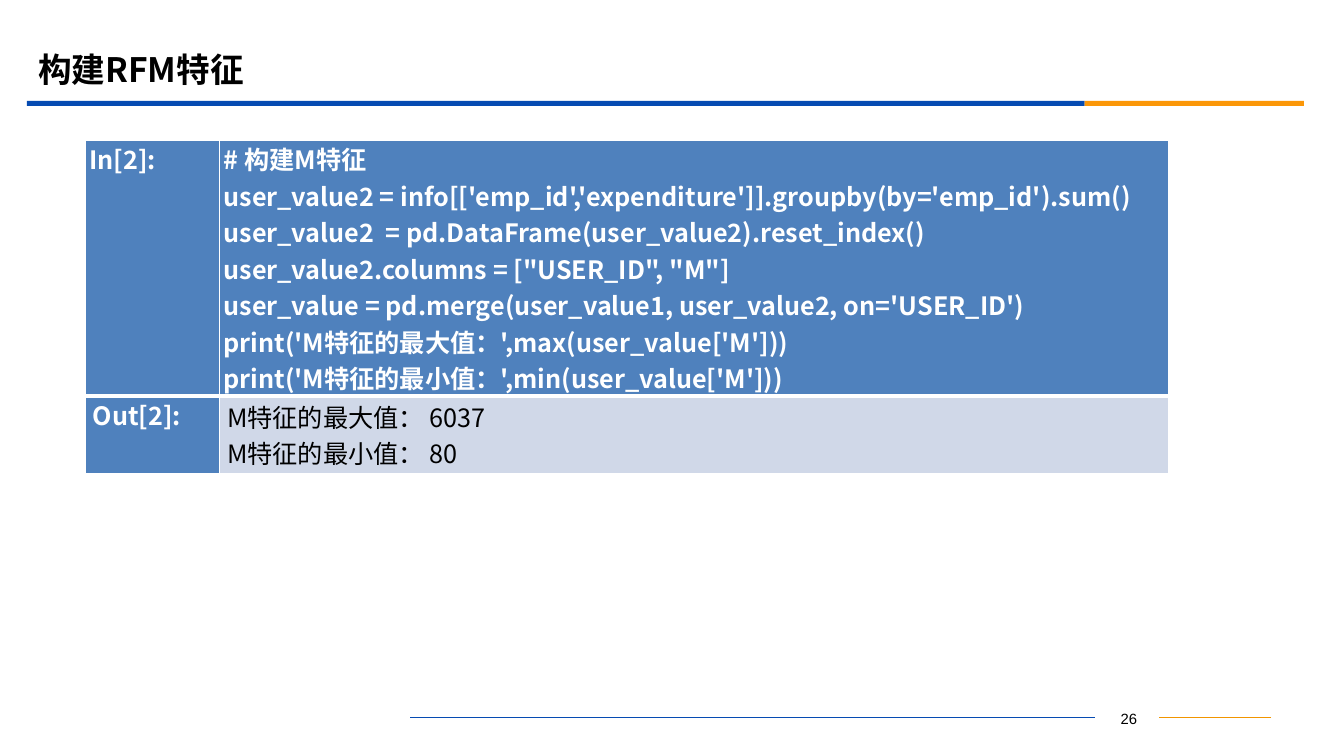
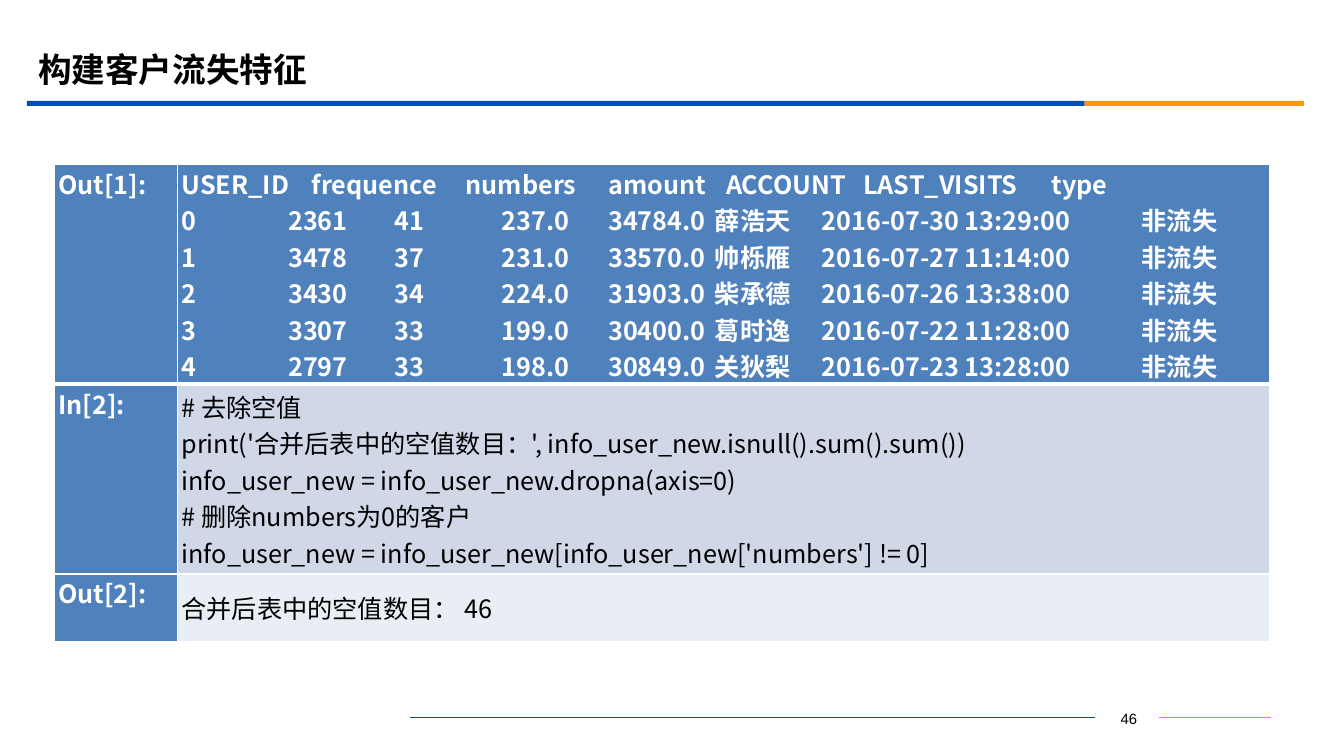
from dataclasses import dataclass
from itertools import zip_longest

from lxml import etree
from pptx import Presentation
from pptx.dml.color import RGBColor
from pptx.enum import shapes, text
from pptx.oxml import ns
from pptx.util import Pt


@dataclass(frozen=True)
class Theme:
    blue: str = "064BB2"
    orange: str = "FB9708"
    amber: str = "F19500"
    table_blue: str = "4F81BD"
    band_dark: str = "D0D8E8"
    band_light: str = "E9EDF4"
    black: str = "000000"
    white: str = "FFFFFF"
    body_font: str = "Noto Sans CJK SC"
    page_font: str = "Arial"
    title_size: float = 24
    table_size: float = 18
    page_size: float = 10.6


theme = Theme()


def write(text_frame, lines, size=theme.table_size, color=theme.black, bold=False,
          font=theme.body_font, align=text.PP_ALIGN.LEFT, tab_stops=()):
    text_frame.word_wrap = True
    for index, (line, stops) in enumerate(zip_longest(lines, tab_stops)):
        paragraph = text_frame.add_paragraph() if index else text_frame.paragraphs[0]
        paragraph.alignment = align
        if stops:
            properties = paragraph._p.get_or_add_pPr()
            tab_list = etree.SubElement(properties, ns.qn("a:tabLst"))
            for stop in stops:
                etree.SubElement(tab_list, ns.qn("a:tab"), pos=str(Pt(stop)), algn="l")
        run = paragraph.add_run()
        run.text = line
        run.font.size = Pt(size)
        run.font.bold = bold
        run.font.name = font
        run.font.color.rgb = RGBColor.from_string(color)
        etree.SubElement(run._r.get_or_add_rPr(), ns.qn("a:ea"), typeface=font)


def set_borders(cell, **widths):
    properties = cell._tc.get_or_add_tcPr()
    for side in "LRTB":
        line = etree.SubElement(properties, ns.qn(f"a:ln{side}"), w=str(Pt(widths.get(side, 1))))
        fill = etree.SubElement(line, ns.qn("a:solidFill"))
        etree.SubElement(fill, ns.qn("a:srgbClr"), val=theme.white)


header_stops = [93, 203, 305, 389, 487, 621.5]
record_stops = [76.2 * step for step in range(1, 7)] + [76.2 * 9]

pages = [
    {
        "title": "构建RFM特征",
        "number": "26",
        "origin": (61, 100),
        "columns": (96, 678),
        "align": text.PP_ALIGN.LEFT,
        "tab_stops": (),
        "rows": [
            (183, 2.7, "In[2]:", [
                "# 构建M特征",
                "user_value2 = info[['emp_id','expenditure']].groupby(by='emp_id').sum()",
                "user_value2  = pd.DataFrame(user_value2).reset_index()",
                'user_value2.columns = ["USER_ID", "M"]',
                "user_value = pd.merge(user_value1, user_value2, on='USER_ID')",
                "print('M特征的最大值：',max(user_value['M']))",
                "print('M特征的最小值：',min(user_value['M']))",
            ]),
            (55, 5.2, "Out[2]:", ["M特征的最大值： 6037", "M特征的最小值： 80"]),
        ],
    },
    {
        "title": "构建客户流失特征",
        "number": "46",
        "origin": (39, 117.5),
        "columns": (88, 780),
        "align": text.PP_ALIGN.JUSTIFY,
        "tab_stops": [header_stops] + [record_stops] * 5,
        "rows": [
            (157, 2.7, "Out[1]:", [
                "USER_ID\tfrequence\tnumbers\tamount\tACCOUNT\tLAST_VISITS\ttype",
                "0\t2361\t41\t237.0\t34784.0\t薛浩天\t2016-07-30 13:29:00\t非流失",
                "1\t3478\t37\t231.0\t33570.0\t帅栎雁\t2016-07-27 11:14:00\t非流失",
                "2\t3430\t34\t224.0\t31903.0\t柴承德\t2016-07-26 13:38:00\t非流失",
                "3\t3307\t33\t199.0\t30400.0\t葛时逸\t2016-07-22 11:28:00\t非流失",
                "4\t2797\t33\t198.0\t30849.0\t关狄梨\t2016-07-23 13:28:00\t非流失",
            ]),
            (135.5, 2.7, "In[2]:", [
                "# 去除空值",
                "print('合并后表中的空值数目：', info_user_new.isnull().sum().sum())",
                "info_user_new = info_user_new.dropna(axis=0)",
                "# 删除numbers为0的客户",
                "info_user_new = info_user_new[info_user_new['numbers'] != 0]",
            ]),
            (48, 2.7, "Out[2]:", ["合并后表中的空值数目： 46"]),
        ],
    },
]

presentation = Presentation()
presentation.slide_width, presentation.slide_height = Pt(960), Pt(540)
layout = presentation.slide_layouts[5]
row_fills = [theme.table_blue, theme.band_dark, theme.band_light]

for page in pages:
    slide = presentation.slides.add_slide(layout)

    title = slide.shapes.title
    title.left, title.top, title.width, title.height = Pt(20), Pt(28), Pt(864), Pt(42)
    title.text_frame.vertical_anchor = text.MSO_ANCHOR.MIDDLE
    title.text_frame.auto_size = text.MSO_AUTO_SIZE.NONE
    write(title.text_frame, [page["title"]], size=theme.title_size, bold=True)

    for left, width, color in [(19.3, 755.5, theme.blue), (774.8, 156.7, theme.orange)]:
        band = slide.shapes.add_shape(
            shapes.MSO_SHAPE.RECTANGLE, Pt(left), Pt(72), Pt(width), Pt(3.6))
        band.shadow.inherit = False
        band.fill.solid()
        band.fill.fore_color.rgb = RGBColor.from_string(color)
        band.line.fill.background()

    page_number = slide.shapes.add_textbox(Pt(782.3), Pt(503.5), Pt(45.3), Pt(18))
    page_number.text_frame.vertical_anchor = text.MSO_ANCHOR.MIDDLE
    page_number.text_frame.margin_left = Pt(10)
    page_number.text_frame.margin_top = Pt(4.8)
    write(page_number.text_frame, [page["number"]], size=theme.page_size,
          font=theme.page_font, align=text.PP_ALIGN.CENTER)

    for outer_end, side, color in [(293, 1, theme.blue), (908, 3, theme.amber)]:
        rule = slide.shapes.add_connector(
            shapes.MSO_CONNECTOR.STRAIGHT, Pt(outer_end), Pt(512.5), Pt(outer_end), Pt(512.5))
        rule.end_connect(page_number, side)
        rule.line.color.rgb = RGBColor.from_string(color)
        rule.line.width = Pt(0.75)
        etree.SubElement(rule._element.spPr, ns.qn("a:effectLst"))

    rows = page["rows"]
    left, top = page["origin"]
    table = slide.shapes.add_table(
        len(rows), 2, Pt(left), Pt(top), Pt(sum(page["columns"])),
        Pt(sum(row[0] for row in rows))).table
    for column, width in zip(table.columns, page["columns"]):
        column.width = Pt(width)

    for row_index, (height, padding, label, lines) in enumerate(rows):
        table.rows[row_index].height = Pt(height)
        for column_index, content in enumerate([[label], lines]):
            cell = table.cell(row_index, column_index)
            is_header = row_index == 0 or column_index == 0
            set_borders(cell, T=3 if row_index == 1 else 1, B=3 if row_index == 0 else 1)
            cell.fill.solid()
            cell.fill.fore_color.rgb = RGBColor.from_string(
                theme.table_blue if is_header else row_fills[row_index])
            cell.margin_left = cell.margin_right = Pt(padding)
            cell.margin_top = cell.margin_bottom = Pt(0.4)
            cell.vertical_anchor = text.MSO_ANCHOR.MIDDLE if column_index else text.MSO_ANCHOR.TOP
            has_tabs = row_index == 0 and column_index == 1
            write(cell.text_frame, content, bold=is_header, align=page["align"],
                  color=theme.white if is_header else theme.black,
                  tab_stops=page["tab_stops"] if has_tabs else ())

presentation.save("out.pptx")
